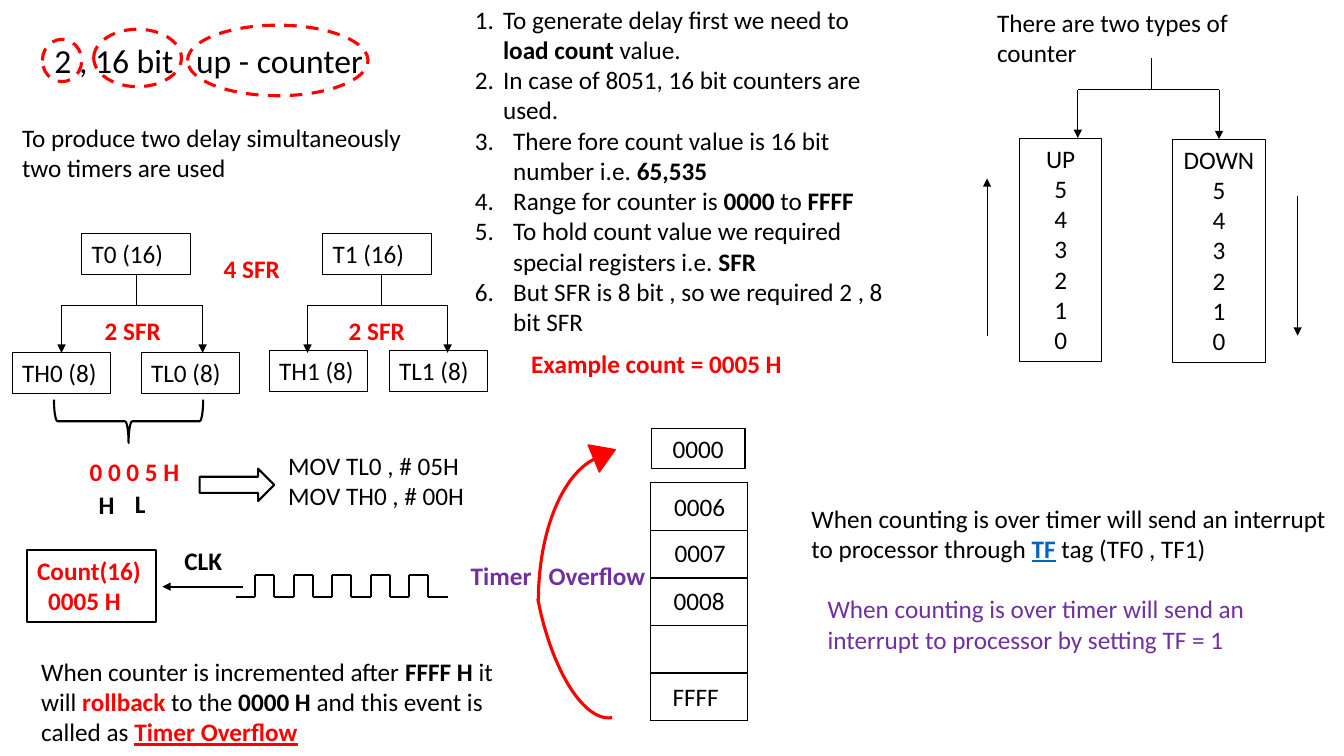
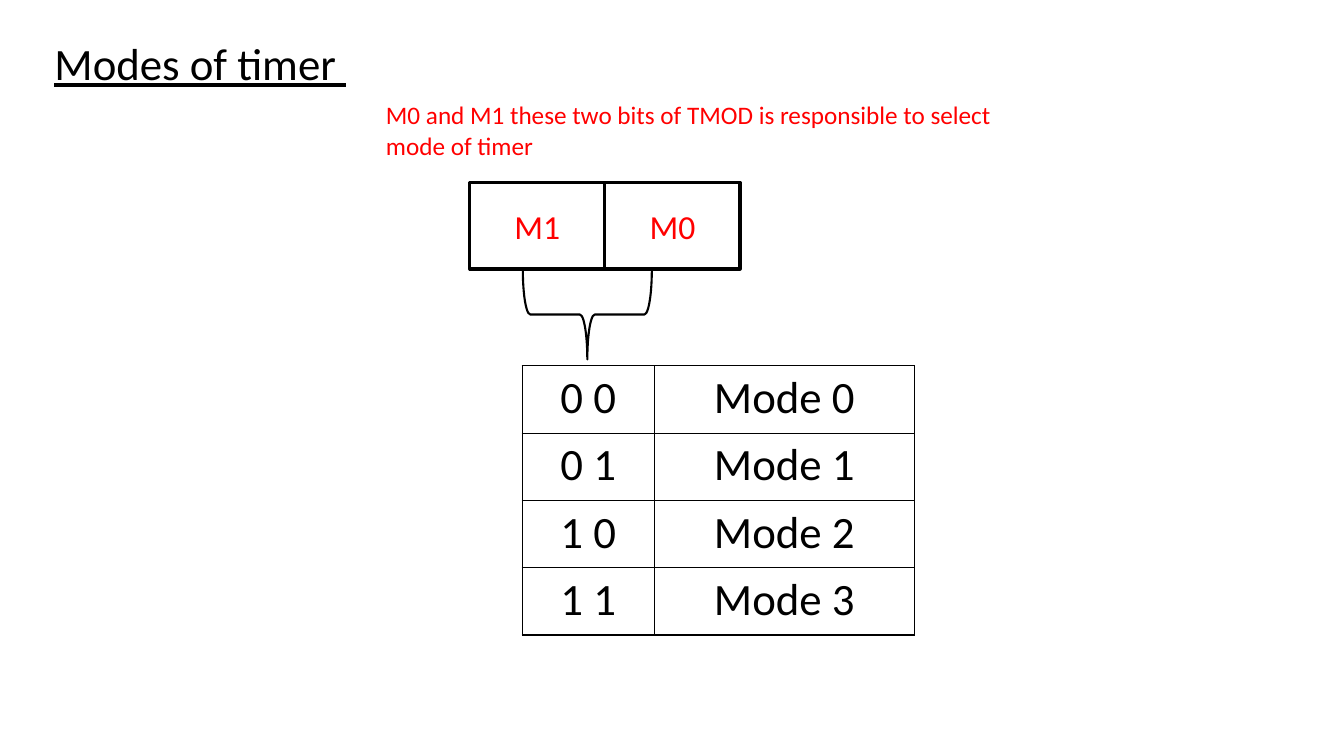
from dataclasses import dataclass
from typing import NamedTuple, Optional

from lxml.etree import SubElement
from pptx import Presentation
from pptx.dml.color import RGBColor
from pptx.enum.dml import MSO_LINE
from pptx.enum.shapes import MSO_CONNECTOR, MSO_SHAPE as Preset
from pptx.enum.text import MSO_ANCHOR as Anchor, MSO_AUTO_SIZE, PP_ALIGN as Align
from pptx.oxml.ns import qn
from pptx.util import Inches, Pt

BLACK = RGBColor(0x00, 0x00, 0x00)
RED = RGBColor(0xFF, 0x00, 0x00)
PURPLE = RGBColor(0x70, 0x30, 0xA0)
LINK_BLUE = RGBColor(0x05, 0x63, 0xC1)
FONT = "Calibri"


class Box(NamedTuple):
    left: float
    top: float
    width: float
    height: float

    def emu(self) -> list:
        return [Inches(value) for value in self]


class Run(NamedTuple):
    text: str
    color: RGBColor = BLACK
    bold: bool = False
    underline: bool = False
    spacing: float = 0


@dataclass
class Para:
    runs: list
    indent: float = 0
    number_from: Optional[int] = None
    line_spacing: Optional[float] = None


@dataclass
class Fork:
    """A stem that splits into two arrows."""
    stem: float
    top: float
    bar: float
    left: float
    right: float
    bottom: float
    parent: object = None
    left_child: object = None
    right_child: object = None


def line_of(text: str, color: RGBColor = BLACK, bold: bool = False) -> list:
    return [Para([Run(text, color, bold)])]


def fill_text(frame, paras: list, size: float = 18, align=Align.LEFT) -> None:
    frame.word_wrap = True
    for index, para in enumerate(paras):
        paragraph = frame.paragraphs[0] if index == 0 else frame.add_paragraph()
        props = paragraph._p.get_or_add_pPr()
        hanging = -para.indent if para.number_from else 0
        props.set("marL", str(Inches(para.indent)))
        props.set("indent", str(Inches(hanging)))
        if para.number_from:
            SubElement(props, qn("a:buAutoNum"), type="arabicPeriod",
                       startAt=str(para.number_from))
        paragraph.alignment = align
        paragraph.space_before = Pt(0)
        if para.line_spacing:
            paragraph.line_spacing = para.line_spacing
        for part in para.runs:
            if part.text == "\n":
                paragraph.add_line_break()
                continue
            run = paragraph.add_run()
            run.text = part.text
            font = run.font
            font.name, font.size = FONT, Pt(size)
            font.bold, font.underline = part.bold, part.underline
            font.color.rgb = part.color
            if part.spacing:
                run._r.get_or_add_rPr().set("spc", str(round(part.spacing * 100)))


def add_label(slide, box: Box, paras: list, align=Align.LEFT) -> None:
    fill_text(slide.shapes.add_textbox(*box.emu()).text_frame, paras, align=align)


def fill_placeholder(holder, box: Box, paras: list, size: float, anchor) -> None:
    holder.left, holder.top, holder.width, holder.height = box.emu()
    frame = holder.text_frame
    frame.auto_size = MSO_AUTO_SIZE.NONE
    frame.vertical_anchor = anchor
    fill_text(frame, paras, size)


def add_outline(slide, preset, box: Box, color: RGBColor = BLACK,
                width: float = 1.5, rotation: float = 0):
    shape = slide.shapes.add_shape(preset, *box.emu())
    shape.shadow.inherit = False
    shape.fill.background()
    shape.line.color.rgb = color
    shape.line.width = Pt(width)
    shape.rotation = rotation
    return shape


def add_text_box(slide, box: Box, paras: list, width: float = 0.75,
                 size: float = 18, align=Align.LEFT, anchor=Anchor.TOP):
    shape = add_outline(slide, Preset.RECTANGLE, box, width=width)
    shape.text_frame.vertical_anchor = anchor
    fill_text(shape.text_frame, paras, size, align)
    return shape


def add_line(slide, x1: float, y1: float, x2: float, y2: float,
             width: float = 0.5, arrow: bool = False):
    line = slide.shapes.add_connector(
        MSO_CONNECTOR.STRAIGHT, Inches(x1), Inches(y1), Inches(x2), Inches(y2))
    line.line.color.rgb = BLACK
    line.line.width = Pt(width)
    props = line._element.spPr
    if arrow:
        SubElement(props.find(qn("a:ln")), qn("a:tailEnd"), type="triangle")
    SubElement(props, qn("a:effectLst"))
    return line


def is_centred(box, x: float) -> bool:
    return box is not None and abs(box.left + box.width / 2 - Inches(x)) < Inches(0.02)


def add_fork(slide, fork: Fork) -> None:
    stem = add_line(slide, fork.stem, fork.top, fork.stem, fork.bar)
    if is_centred(fork.parent, fork.stem):
        stem.begin_connect(fork.parent, 2)
    add_line(slide, fork.left, fork.bar, fork.right, fork.bar)
    for x, child in ((fork.left, fork.left_child), (fork.right, fork.right_child)):
        branch = add_line(slide, x, fork.bar, x, fork.bottom, arrow=True)
        if is_centred(child, x):
            branch.end_connect(child, 0)


def add_grid(slide, box: Box, widths: list, rows: list, size: float) -> None:
    table = slide.shapes.add_table(len(rows), len(widths), *box.emu()).table
    table.first_row = table.horz_banding = False
    for column, width in zip(table.columns, widths):
        column.width = Inches(width)
    for row, texts in zip(table.rows, rows):
        row.height = Inches(box.height / len(rows))
        for cell, text in zip(row.cells, texts):
            props = cell._tc.get_or_add_tcPr()
            for side in ("lnL", "lnR", "lnT", "lnB"):
                border = SubElement(props, qn(f"a:{side}"), w=str(Pt(1)))
                solid = SubElement(border, qn("a:solidFill"))
                SubElement(solid, qn("a:srgbClr"), val=str(BLACK))
            cell.fill.background()
            if text:
                fill_text(cell.text_frame, line_of(text), size, Align.CENTER)


def add_clock(slide, left: float, right: float, low: float, high: float,
              pulses: int) -> None:
    levels = 2 * pulses + 1
    step = (right - left) / levels
    for k in range(levels):
        x, y = left + k * step, high if k % 2 else low
        add_line(slide, x, y, x + step, y, 1.5)
        if k:
            add_line(slide, x, high, x, low, 1.5)


def build_counter_slide(prs) -> None:
    slide = prs.slides.add_slide(prs.slide_layouts[1])

    # Title with its three parts circled
    fill_placeholder(slide.shapes.title, Box(0.44, 0.35, 4.68, 0.5),
                     [Para([Run("2 , 16 bit"), Run(" ", spacing=10.8),
                            Run("up - counter")])], 24, Anchor.MIDDLE)
    for ring in (Box(0.42, 0.39, 0.39, 0.42), Box(0.93, 0.29, 0.87, 0.57),
                 Box(1.86, 0.25, 1.79, 0.7)):
        add_outline(slide, Preset.OVAL, ring, RED, 2.25).line.dash_style = MSO_LINE.DASH

    # Numbered explanation
    steps = [
        [Run("To generate delay first we need to"), Run("\n"),
         Run("load count ", bold=True), Run("value.")],
        [Run("In case of 8051, 16 bit counters are used.")],
        [Run("There fore count value is 16 bit number i.e. "), Run("65,535", bold=True)],
        [Run("Range for counter is "), Run("0000", bold=True), Run(" to "),
         Run("FFFF", bold=True)],
        [Run("To hold count value we required special registers i.e. "),
         Run("SFR", bold=True)],
        [Run("But SFR is 8 bit , so we required 2 , 8 bit SFR")],
    ]
    fill_placeholder(slide.placeholders[1], Box(4.61, -0.01, 4.35, 4.04),
                     [Para(runs, 0.28, 1) if i < 2 else Para(runs, 0.38, 3)
                      for i, runs in enumerate(steps)], 18, Anchor.TOP)

    # Plain and coloured labels
    for box, paras in (
        (Box(0.12, 1.16, 4.35, 1.01),
         line_of("To produce two delay simultaneously two timers are used")),
        (Box(0.94, 3.08, 0.88, 0.4), line_of("2 SFR", RED, True)),
        (Box(3.36, 3.08, 0.88, 0.4), line_of("2 SFR", RED, True)),
        (Box(2.12, 2.46, 0.88, 0.4), line_of("4 SFR", RED, True)),
        (Box(9.79, 0.02, 3.19, 1.01), line_of("There are two types of counter")),
        (Box(5.17, 3.41, 2.88, 0.4), line_of("Example count = 0005 H", RED, True)),
        (Box(0.79, 4.48, 1.45, 0.4), line_of("0 0 0 5 H", RED, True)),
        (Box(0.88, 4.81, 0.36, 0.4), line_of("H", bold=True)),
        (Box(1.24, 4.8, 0.31, 0.4), line_of("L", bold=True)),
        (Box(2.76, 4.42, 2.07, 0.71),
         line_of("MOV TL0 , # 05H") + line_of("MOV TH0 , # 00H")),
        (Box(1.73, 5.36, 0.62, 0.4), line_of("CLK", bold=True)),
        (Box(4.4, 5.51, 2.61, 0.4), [Para([
            Run("Timer", PURPLE, True), Run(" ", PURPLE, True, spacing=8.1),
            Run("Overflow", PURPLE, True)], indent=0.17)]),
        (Box(0.31, 6.46, 4.82, 1.31), [Para([
            Run("When counter is incremented after "), Run("FFFF H", bold=True),
            Run(" it will "), Run("rollback", RED, True), Run(" to the "),
            Run("0000 H", bold=True), Run(" and this event is called as "),
            Run("Timer Overflow", RED, True, True)])]),
        (Box(7.95, 4.94, 5.48, 1.31), [Para([
            Run("When counting is over timer will send an interrupt to processor through "),
            Run("TF", LINK_BLUE, True, True), Run(" tag (TF0 , TF1)")])]),
        (Box(8.11, 5.84, 4.59, 1.31),
         line_of("When counting is over timer will send an interrupt to processor "
                 "by setting TF = 1", PURPLE)),
    ):
        add_label(slide, box, paras)

    # Timer registers and their halves
    t0, t1 = (add_text_box(slide, Box(x, 2.32, 1.08, 0.4), line_of(name))
              for x, name in ((0.81, "T0 (16)"), (3.2, "T1 (16)")))
    th0, tl0, th1, tl1 = (
        add_text_box(slide, Box(x, y, 0.98, 0.4), line_of(name))
        for x, y, name in ((0.12, 3.5, "TH0 (8)"), (1.4, 3.5, "TL0 (8)"),
                           (2.67, 3.48, "TH1 (8)"), (3.86, 3.48, "TL1 (8)")))
    add_fork(slide, Fork(1.35, 2.72, 3.03, 0.61, 2.01, 3.5, t0, th0, tl0))
    add_fork(slide, Fork(3.78, 2.72, 3.03, 3.05, 4.44, 3.5, t1, th1, tl1))

    # Up and down counters
    digits = [Para([Run(str(n))]) for n in range(5, -1, -1)]
    up, down = (add_text_box(slide, box, line_of(name) + digits, align=Align.CENTER)
                for box, name in ((Box(10.11, 1.37, 0.82, 2.22), "UP"),
                                  (Box(11.63, 1.38, 0.92, 2.22), "DOWN")))
    add_fork(slide, Fork(11.42, 0.58, 0.89, 10.69, 12.09, 1.37, None, up, down))
    add_line(slide, 9.79, 3.33, 9.79, 1.77, arrow=True)
    add_line(slide, 12.87, 1.94, 12.87, 3.33, arrow=True)

    # Loading the count and clocking it
    add_outline(slide, Preset.RIGHT_BRACE, Box(1.06, 3.44, 0.43, 1.48), rotation=90)
    add_outline(slide, Preset.RIGHT_ARROW, Box(1.98, 4.65, 0.74, 0.32))
    add_text_box(slide, Box(0.27, 5.46, 1.28, 0.71),
                 line_of("Count(16)", RED, True)
                 + [Para([Run("0005 H", RED, True)], indent=0.11)], width=1.5)
    add_line(slide, 2.41, 5.82, 1.61, 5.82, 1.5, arrow=True)
    add_clock(slide, 2.34, 4.44, 5.92, 5.7, 5)

    # Count sequence and the rollback arrow
    add_text_box(slide, Box(6.46, 4.25, 0.93, 0.4), line_of("0000"), align=Align.CENTER)
    add_grid(slide, Box(6.45, 4.79, 0.96, 2.36), [0.96], [[""]] * 5, 18)
    for box, count in ((Box(6.51, 4.83, 0.86, 0.4), "0006"),
                       (Box(6.47, 5.28, 0.95, 0.4), "0007"),
                       (Box(6.46, 5.76, 0.95, 0.4), "0008"),
                       (Box(6.57, 6.71, 0.66, 0.4), "FFFF")):
        add_label(slide, box, line_of(count), Align.CENTER)
    for box, rotation in ((Box(5.32, 4.5, 1.03, 2.64), 169.7),
                          (Box(4.63, 5.22, 2.89, 1.47), 270)):
        arc = add_outline(slide, Preset.ARC, box, RED, 2.25, rotation)
        arc.adjustments[0], arc.adjustments[1] = 162, 214.15
    head = add_outline(slide, Preset.ISOSCELES_TRIANGLE, Box(5.85, 4.39, 0.29, 0.23),
                       RED, 1, 67.7)
    head.fill.solid()
    head.fill.fore_color.rgb = RED


def build_modes_slide(prs) -> None:
    slide = prs.slides.add_slide(prs.slide_layouts[5])
    fill_placeholder(slide.shapes.title, Box(0.44, 0.08, 3.29, 1.15),
                     [Para([Run("Modes of timer ", underline=True)], line_spacing=0.9)],
                     32, Anchor.MIDDLE)
    add_label(slide, Box(3.73, 0.94, 6.56, 0.71),
              line_of("M0 and M1 these two bits of TMOD is responsible to select "
                      "mode of timer", RED))

    # Mode bits
    for i, bit in enumerate(("M1", "M0")):
        add_text_box(slide, Box(4.66 + i * 1.34, 1.81, 1.34, 0.86), line_of(bit, RED),
                     2.25, 24, Align.CENTER, Anchor.MIDDLE)
    add_outline(slide, Preset.RIGHT_BRACE, Box(5.38, 2.48, 0.89, 1.28), rotation=90)

    # Bit values and modes
    add_grid(slide, Box(5.18, 3.63, 3.89, 2.67), [1.31, 2.58],
             [[f"{n // 2} {n % 2}", f"Mode {n}"] for n in range(4)], 32)


def main() -> None:
    prs = Presentation()
    prs.slide_width, prs.slide_height = Inches(13.33), Inches(7.5)
    build_counter_slide(prs)
    build_modes_slide(prs)
    prs.save("out.pptx")


if __name__ == "__main__":
    main()
